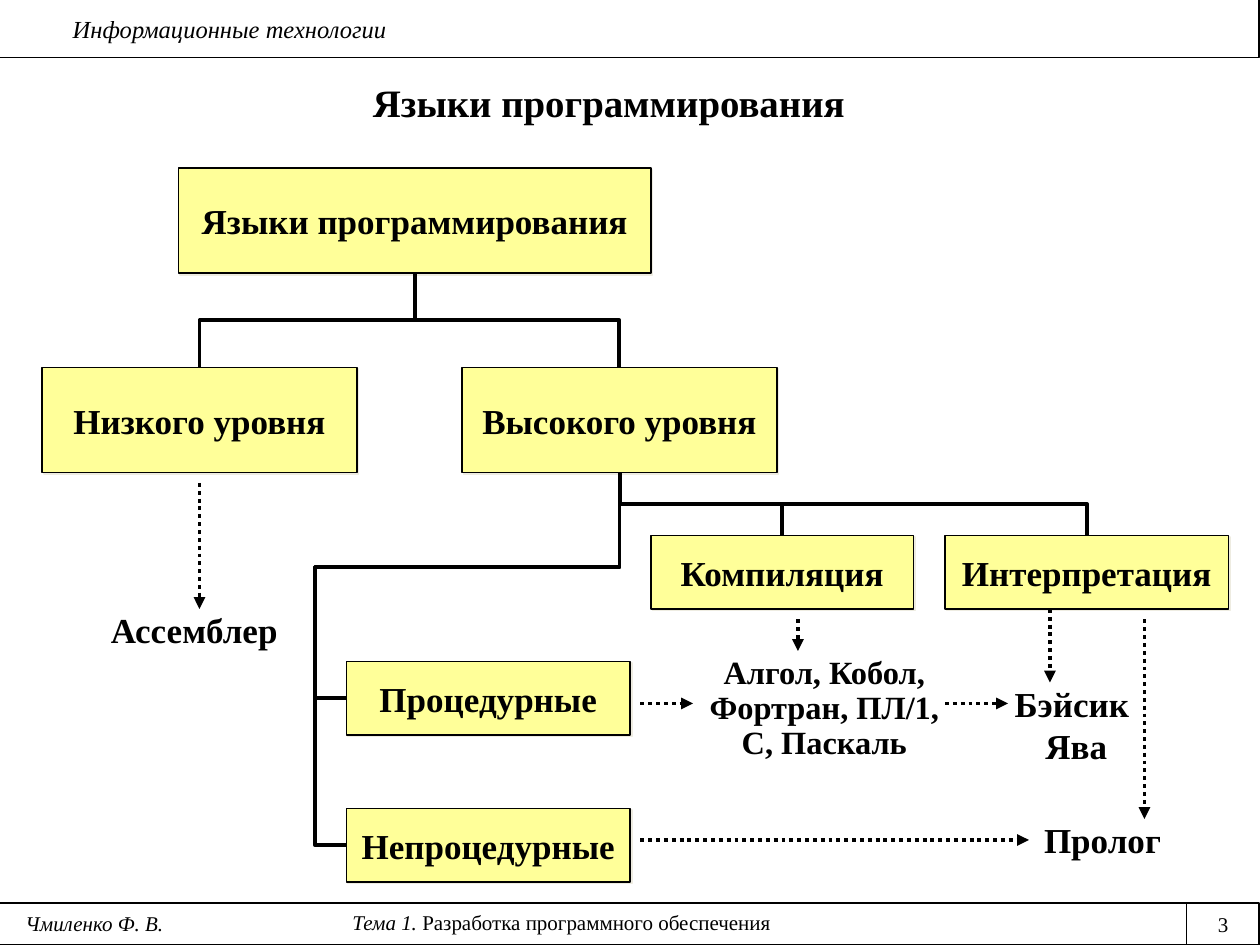
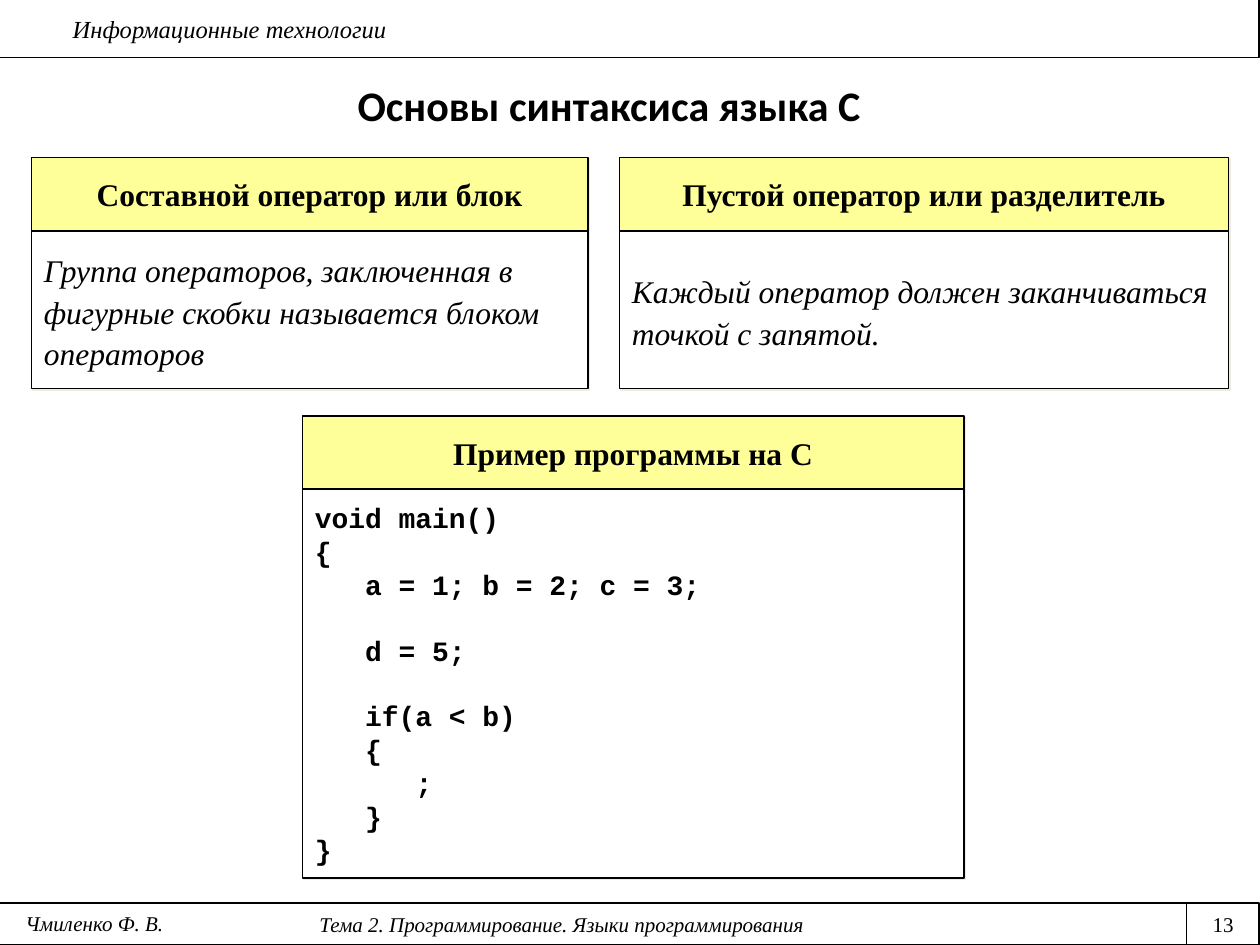
from dataclasses import dataclass

from lxml.etree import SubElement
from pptx import Presentation
from pptx.dml.color import RGBColor
from pptx.enum.dml import MSO_LINE
from pptx.enum.shapes import MSO_CONNECTOR as CONN, MSO_SHAPE
from pptx.enum.text import MSO_ANCHOR as ANCHOR, PP_ALIGN as ALIGN
from pptx.oxml.ns import qn
from pptx.shapes.autoshape import Shape
from pptx.shapes.connector import Connector
from pptx.slide import Slide
from pptx.util import Pt

BLACK = RGBColor(0, 0, 0)
WHITE = RGBColor(255, 255, 255)
YELLOW = RGBColor(255, 255, 153)
SHADOW = RGBColor(238, 236, 225)
SERIF, SANS, MONO = "Times New Roman", "Calibri", "Courier New"

BOTTOM, LEFT, TOP = 2, 1, 0
HEAD_H = 42
CODE_SIZE = 16
CODE_INDENT = 28.8
CODE_LINE = 18.1


@dataclass(frozen=True)
class Box:
    x: float
    y: float
    w: float
    h: float


@dataclass(frozen=True)
class Style:
    size: float = 20
    bold: bool = False
    italic: bool = False
    font: str = SERIF
    align: ALIGN = ALIGN.CENTER
    anchor: ANCHOR = ANCHOR.MIDDLE
    spacing: float = 1.0


@dataclass(frozen=True)
class Label:
    text: str
    box: Box
    style: Style


@dataclass(frozen=True)
class Card:
    """A yellow heading on top of a white body."""
    box: Box
    heading: str
    body: str
    style: Style


@dataclass(frozen=True)
class CodeLine:
    text: str
    level: int = 0
    gap_lines: int = 0


NODE = Style(bold=True)
TITLE = Style(22.2, bold=True, spacing=0.9)
TITLE_SANS = Style(24, bold=True, font=SANS)
LANGUAGES = Style(18.5, bold=True, spacing=0.9)
HEADING = Style(18, bold=True)
DEFINITION = Style(18, italic=True, align=ALIGN.LEFT, spacing=1.1)
CODE = Style(CODE_SIZE, bold=True, font=MONO, align=ALIGN.LEFT)
COURSE = Style(14, italic=True, align=ALIGN.LEFT, anchor=ANCHOR.TOP)
FOOTER = Style(12, italic=True, anchor=ANCHOR.TOP)
PAGE_NUMBER = Style(12, anchor=ANCHOR.TOP)

TREE = {
    "root": Label("Языки программирования", Box(102, 96, 270, 60), NODE),
    "low": Label("Низкого уровня", Box(24, 210, 180, 60), NODE),
    "high": Label("Высокого уровня", Box(264, 210, 180, 60), NODE),
    "compiled": Label("Компиляция", Box(372, 306, 150, HEAD_H), NODE),
    "interpreted": Label("Интерпретация", Box(540, 306, 162, HEAD_H), NODE),
    "procedural": Label("Процедурные", Box(198, 378, 162, HEAD_H), NODE),
    "declarative": Label("Непроцедурные", Box(198, 462, 162, HEAD_H), NODE),
}
TOP_BRANCHES = [("root", "low"), ("root", "high"),
                ("high", "compiled"), ("high", "interpreted")]
SIDE_BRANCHES = [("high", "procedural"), ("high", "declarative")]
SIDE_DROP, SIDE_OVERSHOOT = 54, 18

EXAMPLES = [
    Label("Ассемблер", Box(36, 342, 150, 36), NODE),
    Label("Алгол, Кобол,\vФортран, ПЛ/1,\vС, Паскаль", Box(390, 366, 162, 78), LANGUAGES),
    Label("Бэйсик \nЯва", Box(540, 384, 150, 60), NODE),
    Label("Пролог", Box(570, 462, 120, 36), NODE),
]
ARROWS = [
    (114, 276, 114, 348), (366, 480, 588, 480), (654, 354, 654, 468),
    (600, 348, 600, 390), (456, 354, 456, 372), (366, 402, 396, 402),
    (540, 402, 576, 402),
]

CARDS = [
    Card(Box(18, 90, 318, 132), "Составной оператор или блок",
         "Группа операторов, заключенная в фигурные скобки называется блоком операторов",
         DEFINITION),
    Card(Box(354, 90, 348, 132), "Пустой оператор или разделитель",
         "Каждый оператор должен заканчиваться точкой с запятой.", DEFINITION),
]
PROGRAM_BOX = Box(172.8, 237.6, 378, 264)
PROGRAM = [
    CodeLine("void main()"), CodeLine("{"),
    CodeLine("a = 1; b = 2; c = 3;", 1),
    CodeLine("d = 5;", 1, gap_lines=1),
    CodeLine("if(a < b)", 1, gap_lines=1),
    CodeLine("{", 1), CodeLine(";", 2), CodeLine("}", 1), CodeLine("}"),
]


def write(sp: Shape, text: str, style: Style) -> None:
    tf = sp.text_frame
    tf.word_wrap = True
    tf.vertical_anchor = style.anchor
    tf.text = text
    for p in tf.paragraphs:
        p.alignment = style.align
        p.line_spacing = style.spacing
        for r in p.runs:
            f = r.font
            f.name, f.size = style.font, Pt(style.size)
            f.bold, f.italic = style.bold, style.italic
            f.color.rgb = BLACK


def add_label(s: Slide, label: Label) -> Shape:
    b = label.box
    sp = s.shapes.add_textbox(Pt(b.x), Pt(b.y), Pt(b.w), Pt(b.h))
    write(sp, label.text, label.style)
    return sp


def add_rect(s: Slide, b: Box, fill: RGBColor, width: float) -> Shape:
    sp = s.shapes.add_shape(MSO_SHAPE.RECTANGLE, Pt(b.x), Pt(b.y), Pt(b.w), Pt(b.h))
    sp.shadow.inherit = False
    sp.fill.solid()
    sp.fill.fore_color.rgb = fill
    sp.line.color.rgb = BLACK
    sp.line.width = Pt(width)
    return sp


def add_panel(s: Slide, label: Label, fill: RGBColor) -> Shape:
    """Outlined rectangle with text and a thin pale shadow."""
    sp = add_rect(s, label.box, fill, 1)
    effects = sp._element.spPr.find(qn("a:effectLst"))
    shadow = SubElement(effects, qn("a:outerShdw"), dist=str(Pt(1.4)), dir="2700000",
                        algn="ctr", rotWithShape="0")
    SubElement(shadow, qn("a:srgbClr"), val=str(SHADOW))
    write(sp, label.text, label.style)
    return sp


def add_line(s: Slide, x1: float, y1: float, x2: float, y2: float,
             width: float = 2.25, kind: CONN = CONN.STRAIGHT) -> Connector:
    cn = s.shapes.add_connector(kind, Pt(x1), Pt(y1), Pt(x2), Pt(y2))
    cn.line.color.rgb = BLACK
    cn.line.width = Pt(width)
    SubElement(cn._element.spPr, qn("a:effectLst"))
    return cn


def add_dotted_arrow(s: Slide, x1: float, y1: float, x2: float, y2: float) -> None:
    cn = add_line(s, x1, y1, x2, y2)
    cn.line.dash_style = MSO_LINE.ROUND_DOT
    SubElement(cn._element.spPr.find(qn("a:ln")), qn("a:tailEnd"), type="triangle")


def add_branch(s: Slide, nodes: dict[str, Shape], parent: str, child: str,
               side: int) -> None:
    """Elbow that leaves the parent downwards and enters the given side of the child."""
    a, b = TREE[parent].box, TREE[child].box
    x1, y1 = a.x + a.w / 2, a.y + a.h
    x2, y2 = (b.x + b.w / 2, b.y) if side == TOP else (b.x, b.y + b.h / 2)
    cn = add_line(s, x1, y1, x2, y2, kind=CONN.ELBOW)
    cn.begin_connect(nodes[parent], BOTTOM)
    cn.end_connect(nodes[child], side)

    # A downward elbow is a sideways one turned by a quarter about its centre.
    dx, dy = abs(x2 - x1), y2 - y1
    cn.left, cn.top = Pt((x1 + x2 - dy) / 2), Pt((y1 + y2 - dx) / 2)
    cn.width, cn.height = Pt(dy), Pt(dx)
    xfrm = cn._element.spPr.find(qn("a:xfrm"))
    rightwards = x2 > x1
    xfrm.set("rot", "16200000" if rightwards else "5400000")
    xfrm.set("flipH", "1" if rightwards else "0")
    xfrm.set("flipV", "0")

    geom = cn._element.spPr.find(qn("a:prstGeom"))
    bends = [0.5]
    if side == LEFT:
        geom.set("prst", "bentConnector4")
        bends = [SIDE_DROP / dy, 1 + SIDE_OVERSHOOT / dx]
    guides = geom.find(qn("a:avLst"))
    for i, bend in enumerate(bends, 1):
        name = f"adj{i}"
        SubElement(guides, qn("a:gd"), name=name, fmla=f"val {round(bend * 100000)}")


def add_card(s: Slide, card: Card) -> Shape:
    b = card.box
    add_panel(s, Label(card.heading, Box(b.x, b.y, b.w, HEAD_H), HEADING), YELLOW)
    body = Box(b.x, b.y + HEAD_H, b.w, b.h - HEAD_H)
    return add_panel(s, Label(card.body, body, card.style), WHITE)


def add_frame(prs: Presentation, title: str, title_style: Style, topic: str,
              topic_y: float, number: int) -> tuple[Slide, Shape]:
    """Add a slide with its bands and title; return it with the topic box."""
    s = prs.slides.add_slide(prs.slide_layouts[6])
    add_rect(s, Box(-0.5, 516, 720, 24), WHITE, 0.75)
    add_rect(s, Box(-0.5, -0.5, 720, 33.5), WHITE, 0.75)
    add_label(s, Label("Информационные технологии", Box(34.5, 4.5, 678, 24), COURSE))
    topic_sp = add_label(s, Label(topic, Box(0, topic_y, 642, 22), FOOTER))
    add_label(s, Label(str(number), Box(678, 517.5, 42, 22), PAGE_NUMBER))
    add_line(s, 678, 516, 678, 540, 0.75)
    add_label(s, Label("Чмиленко Ф. В.", Box(0, 516.75, 108, 22), FOOTER))
    add_label(s, Label(title, Box(18, 42, 660, 36), title_style))
    return s, topic_sp


def build_languages(prs: Presentation) -> None:
    s, topic = add_frame(prs, "Языки программирования", TITLE, "Тема 1. ", 516, 3)
    r = topic.text_frame.paragraphs[0].add_run()
    r.text = "Разработка программного обеспечения"
    r.font.name, r.font.size = SERIF, Pt(FOOTER.size)
    r.font.color.rgb = BLACK

    nodes = {name: add_panel(s, label, YELLOW) for name, label in TREE.items()}
    for parent, child in TOP_BRANCHES:
        add_branch(s, nodes, parent, child, TOP)
    for parent, child in SIDE_BRANCHES:
        add_branch(s, nodes, parent, child, LEFT)
    for label in EXAMPLES:
        add_label(s, label)
    for ends in ARROWS:
        add_dotted_arrow(s, *ends)


def build_syntax(prs: Presentation) -> None:
    s, _ = add_frame(prs, "Основы синтаксиса языка С", TITLE_SANS,
                     "Тема 2. Программирование. Языки программирования", 517.5, 13)
    for card in CARDS:
        add_card(s, card)
    code = "\n".join(line.text for line in PROGRAM)
    sp = add_card(s, Card(PROGRAM_BOX, "Пример программы на С", code, CODE))
    for p, line in zip(sp.text_frame.paragraphs, PROGRAM):
        p.space_before = Pt(line.gap_lines * CODE_LINE)
        p._p.get_or_add_pPr().set("marL", str(Pt(line.level * CODE_INDENT)))


def main() -> None:
    prs = Presentation()
    prs.slide_width, prs.slide_height = Pt(720), Pt(540)
    build_languages(prs)
    build_syntax(prs)
    prs.save("out.pptx")


if __name__ == "__main__":
    main()
